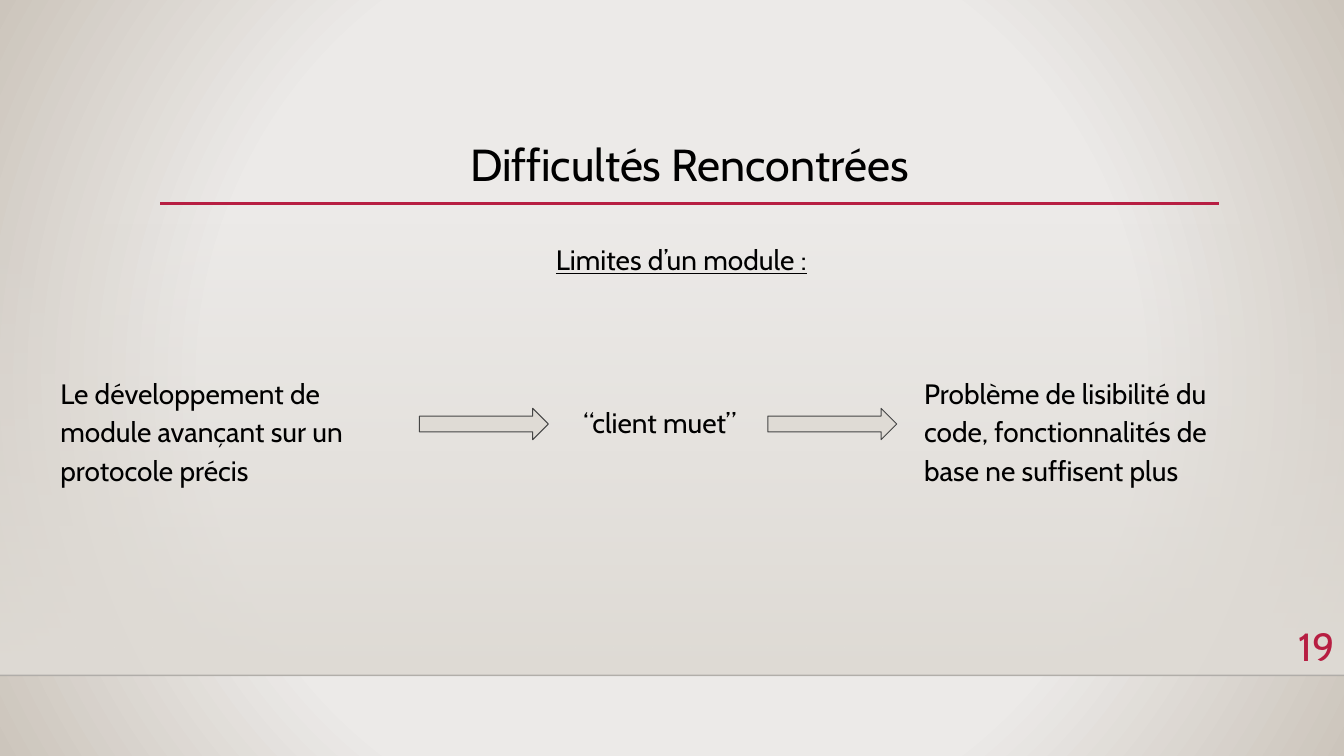
from lxml import etree
from pptx import Presentation
from pptx.dml.color import RGBColor
from pptx.enum import shapes, text
from pptx.oxml.ns import qn
from pptx.util import Cm, Pt

# Content
TITLE = "Difficultés Rencontrées"
SUBTITLE = "Limites d’un module :"
CAUSE = "Le développement de module avançant sur un protocole précis"
SYMPTOM = "“client muet”"
EFFECT = "Problème de lisibilité du code, fonctionnalités de base ne suffisent plus"
PAGE = "19"

FONT = "Cabin"
COLORS = {"ink": "000000", "accent": "B71E42", "band": "DFDBD5", "outline": "454545",
          "center": "ECEAE8", "edge": "CCC5BC", "floor": "000001"}

# Layout in centimetres
WIDTH, HEIGHT = 33.87, 19.05
BAND_TOP, FLOOR = 5.61, 17.02
RULE_LEFT, RULE_RIGHT, RULE_Y = 4.04, 30.73, 5.13
TITLE_BOX = (RULE_LEFT, 3.33, 26.67, 1.78)
SUBTITLE_BOX = (13.51, 5.74, 7.32, 2.08)
SYMPTOM_BOX = (14.45, 9.98, 4.45, 1.37)
PAGE_BOX = (31.62, 15.57, 2.26, 1.4)
STEP_TOP, STEP_W, STEP_H = 9.22, 8.86, 3.28
CAUSE_LEFT, EFFECT_LEFT = 1.27, 23.04
ARROW_W, ARROW_H = 3.25, 0.79
ARROW_LEFTS = (10.57, 19.35)
ARROW_TOP = 10.29

LEFT, CENTER, RIGHT = text.PP_ALIGN.LEFT, text.PP_ALIGN.CENTER, text.PP_ALIGN.RIGHT
TOP, MIDDLE = text.MSO_ANCHOR.TOP, text.MSO_ANCHOR.MIDDLE


def rgb(name):
    return RGBColor.from_string(COLORS[name])


def set_alpha(color, percent):
    etree.SubElement(color, qn("a:alpha"), val=str(percent * 1000))


def set_gradient(fill, holder, stops, circular=False):
    """Fill with (position, colour, opacity) stops, downwards or from the centre."""
    fill.gradient()
    grad = next(holder.iter(qn("a:gradFill")))
    for child in list(grad):
        grad.remove(child)
    stop_list = etree.SubElement(grad, qn("a:gsLst"))
    for position, name, opacity in stops:
        stop = etree.SubElement(stop_list, qn("a:gs"), pos=str(position * 1000))
        color = etree.SubElement(stop, qn("a:srgbClr"), val=COLORS[name])
        if opacity < 100:
            set_alpha(color, opacity)
    if circular:
        route = etree.SubElement(grad, qn("a:path"), path="circle")
        etree.SubElement(route, qn("a:fillToRect"),
                         {side: "50000" for side in "ltrb"})
    else:
        etree.SubElement(grad, qn("a:lin"), ang="5400000", scaled="0")


def write(box, place, words, size=20, color="ink", align=LEFT, anchor=TOP,
          spacing=1.0, inset=0.25, underline=False):
    box.left, box.top, box.width, box.height = map(Cm, place)
    frame = box.text_frame
    frame.word_wrap = True
    frame.auto_size = text.MSO_AUTO_SIZE.NONE
    frame.vertical_anchor = anchor
    frame.margin_left = frame.margin_right = Cm(0.25)
    frame.margin_top = frame.margin_bottom = Cm(inset)
    line = frame.paragraphs[0]
    line.alignment, line.line_spacing, line.space_before = align, spacing, Pt(0)
    run = line.add_run()
    run.text = words
    run.font.name, run.font.size, run.font.underline = FONT, Pt(size), underline
    run.font.color.rgb = rgb(color)
    return line


def draw_line(x1, x2, y, color, weight):
    rule = slide.shapes.add_connector(shapes.MSO_CONNECTOR.STRAIGHT,
                                      Cm(x1), Cm(y), Cm(x2), Cm(y))
    rule.line.color.rgb = rgb(color)
    rule.line.width = Pt(weight)
    etree.SubElement(rule._element.spPr, qn("a:effectLst"))
    return rule


deck = Presentation()
deck.slide_width, deck.slide_height = Cm(WIDTH), Cm(HEIGHT)
slide = deck.slides.add_slide(deck.slide_layouts[3])

# Background and lower band, kept behind the text
set_gradient(slide.background.fill, slide._element,
             [(0, "center", 100), (60, "center", 100), (100, "edge", 100)], circular=True)
band = slide.shapes.add_shape(shapes.MSO_SHAPE.RECTANGLE, 0, Cm(BAND_TOP),
                              Cm(WIDTH), Cm(FLOOR - BAND_TOP))
band.shadow.inherit = False
band.line.fill.background()
set_gradient(band.fill, band._element, [(0, "band", 0), (100, "band", 100)])
slide.shapes._spTree.insert(2, band._element)

# Rules
floor = draw_line(0, WIDTH, FLOOR, "floor", 1)
set_alpha(next(floor._element.spPr.iter(qn("a:srgbClr"))), 20)
draw_line(RULE_LEFT, RULE_RIGHT, RULE_Y, "accent", 2.5)

# Title, cause and effect
title, cause, effect = slide.placeholders
write(title, TITLE_BOX, TITLE, 32, align=CENTER, anchor=MIDDLE, spacing=0.9, inset=0.13)
for step, left, words in ((cause, CAUSE_LEFT, CAUSE), (effect, EFFECT_LEFT, EFFECT)):
    line = write(step, (left, STEP_TOP, STEP_W, STEP_H), words, spacing=1.15, inset=0.13)
    props = line._p.get_or_add_pPr()
    props.set("marL", "0")
    props.set("indent", "0")
    etree.SubElement(props, qn("a:buNone"))

# Subtitle, symptom and page number
for place, words, style in (
    (SUBTITLE_BOX, SUBTITLE, {"align": CENTER, "spacing": 1.15, "underline": True}),
    (SYMPTOM_BOX, SYMPTOM, {}),
    (PAGE_BOX, PAGE, {"size": 28, "color": "accent", "align": RIGHT,
                      "anchor": MIDDLE, "inset": 0.13}),
):
    write(slide.shapes.add_textbox(0, 0, 0, 0), place, words, **style)

# Arrows
for left in ARROW_LEFTS:
    arrow = slide.shapes.add_shape(shapes.MSO_SHAPE.RIGHT_ARROW, Cm(left), Cm(ARROW_TOP),
                                   Cm(ARROW_W), Cm(ARROW_H))
    arrow.shadow.inherit = False
    arrow.fill.solid()
    arrow.fill.fore_color.rgb = rgb("band")
    arrow.line.color.rgb = rgb("outline")
    arrow.line.width = Pt(0.75)

deck.save("out.pptx")
